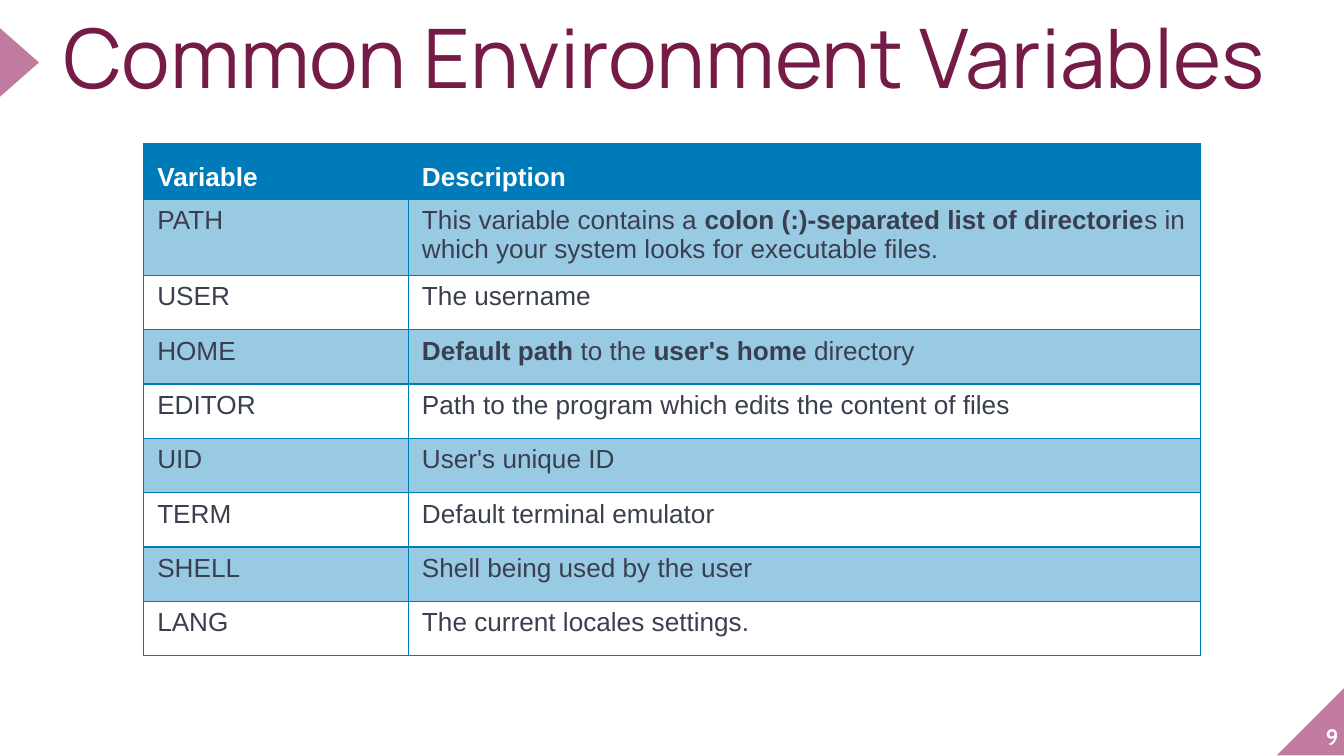
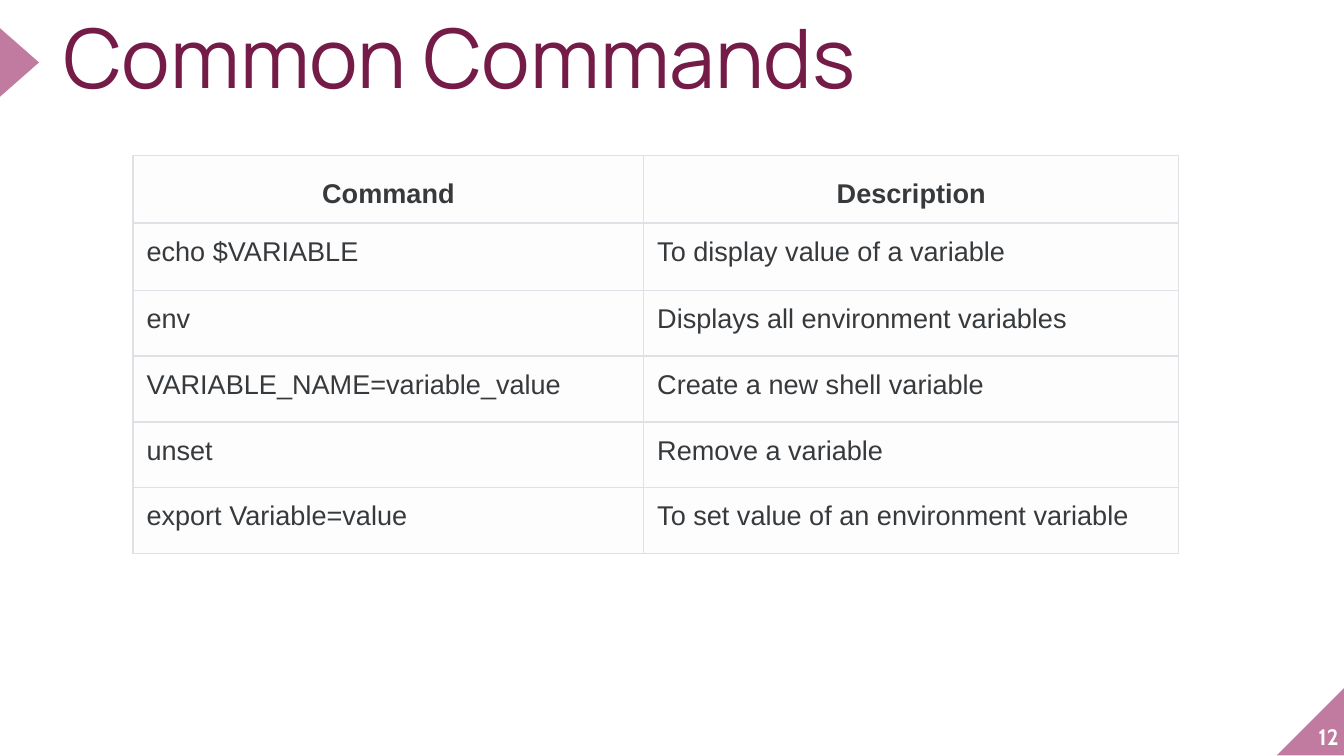
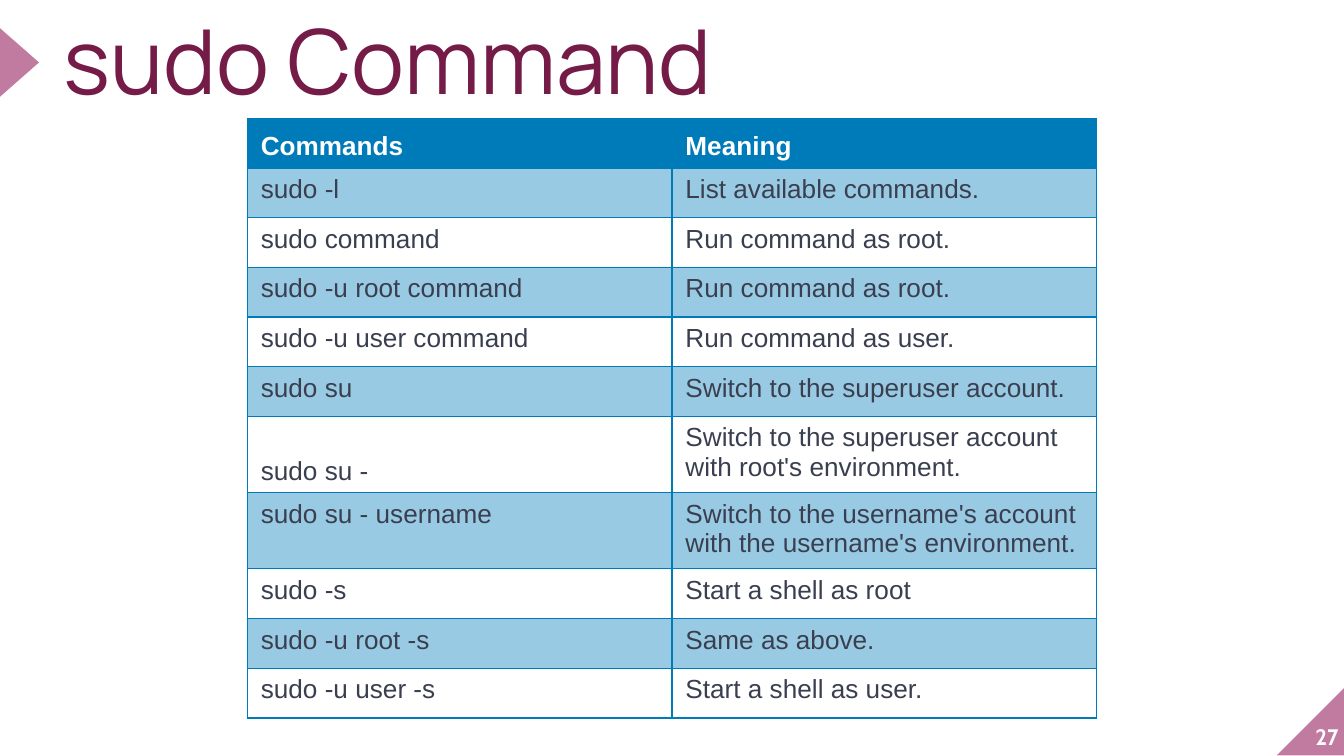
from dataclasses import dataclass
from typing import Any, Optional

from lxml import etree
from pptx import Presentation
from pptx import util as u
from pptx.dml.color import RGBColor
from pptx.enum import shapes, text
from pptx.oxml.ns import qn

WHITE = RGBColor(0xFF, 0xFF, 0xFF)
PINK = RGBColor(0xC2, 0x7B, 0xA0)
PLUM = RGBColor(0x74, 0x1B, 0x47)
BLUE = RGBColor(0x00, 0x7B, 0xB9)
SLATE = RGBColor(0x3A, 0x3F, 0x50)
CHARCOAL = RGBColor(0x37, 0x3A, 0x3C)
SILVER = RGBColor(0xDE, 0xE2, 0xE6)
PAPER = RGBColor(0xFD, 0xFD, 0xFE)

TITLE_ONLY = 5
NO_MARGINS = {f"margin_{side}": 0 for side in ("left", "right", "top", "bottom")}


@dataclass(frozen=True)
class Box:
    left: float
    top: float
    width: float
    height: float

    def lengths(self) -> tuple[u.Length, ...]:
        return tuple(map(u.Inches, (self.left, self.top, self.width, self.height)))


@dataclass(frozen=True)
class Decoration:
    preset: shapes.MSO_SHAPE
    box: Box
    rotation: int


@dataclass(frozen=True)
class Border:
    color: RGBColor
    points: float = 0.75


@dataclass(frozen=True)
class TableStyle:
    size: float
    header_color: RGBColor
    body_color: RGBColor
    header_fill: RGBColor
    odd_fill: RGBColor
    even_fill: Optional[RGBColor]
    odd_opacity: int
    border: Border
    under_header: Border
    above_body: Border
    vertical_margin: float
    header_paragraph: dict[str, Any]
    highlight: Optional[RGBColor] = None


@dataclass(frozen=True)
class TableSlide:
    title: str
    title_size: int
    title_width: float
    number: int
    left: float
    top: float
    columns: tuple[float, ...]
    heights: tuple[float, ...]
    style: TableStyle
    rows: tuple[tuple[str, str], ...]
    bottom_cells: tuple[tuple[int, int], ...] = ()


DECORATIONS = (
    Decoration(shapes.MSO_SHAPE.RIGHT_TRIANGLE, Box(9.5, 5.11, 0.51, 0.51), 270),
    Decoration(shapes.MSO_SHAPE.ISOSCELES_TRIANGLE, Box(-0.11, 0.32, 0.51, 0.29), 90),
)

BANDED = TableStyle(
    size=14, header_color=WHITE, body_color=SLATE,
    header_fill=BLUE, odd_fill=BLUE, even_fill=None, odd_opacity=40,
    border=Border(BLUE), under_header=Border(WHITE), above_body=Border(BLUE),
    vertical_margin=0.05, header_paragraph={"alignment": text.PP_ALIGN.LEFT},
)
PLAIN = TableStyle(
    size=14.5, header_color=CHARCOAL, body_color=CHARCOAL,
    header_fill=PAPER, odd_fill=PAPER, even_fill=PAPER, odd_opacity=100,
    border=Border(SILVER), under_header=Border(SILVER, 1.5), above_body=Border(SILVER, 1.5),
    vertical_margin=0.1,
    header_paragraph={"alignment": text.PP_ALIGN.CENTER, "line_spacing": 1.15},
    highlight=PAPER,
)

SLIDES = (
    TableSlide(
        "Common Environment Variables", 44, 9.67, 9, 1.07, 1.07,
        (1.97, 5.89), (0.41, 0.53) + (0.405,) * 7, BANDED,
        (
            ("Variable", "Description"),
            ("PATH", "This variable contains a **colon (:)-separated list of directorie**s"
                     " in which your system looks for executable files."),
            ("USER", "The username"),
            ("HOME", "**Default path** to the **user's home** directory"),
            ("EDITOR", "Path to the program which edits the content of files"),
            ("UID", "User's unique ID"),
            ("TERM", "Default terminal emulator"),
            ("SHELL", "Shell being used by the user"),
            ("LANG", "The current locales settings."),
        ),
    ),
    TableSlide(
        "Common Commands", 44, 9.67, 12, 0.99, 1.16,
        (3.8, 3.98), (0.5,) * 2 + (0.49,) * 4, PLAIN,
        (
            ("Command", "Description"),
            ("echo $VARIABLE", "To display value of a variable"),
            ("env", "Displays all environment variables"),
            ("VARIABLE_NAME=variable_value", "Create a new shell variable"),
            ("unset", "Remove a variable"),
            ("export Variable=value", "To set value of an environment variable"),
        ),
    ),
    TableSlide(
        "sudo Command", 48, 6.17, 27, 1.84, 0.88,
        (3.16, 3.16), (0.37,) * 6 + (0.53,) * 2 + (0.37,) * 3, BANDED,
        (
            ("Commands", "Meaning"),
            ("sudo -l", "List available commands."),
            ("sudo command", "Run command as root."),
            ("sudo -u root command", "Run command as root."),
            ("sudo -u user command", "Run command as user."),
            ("sudo su", "Switch to the superuser account."),
            ("sudo su -", "Switch to the superuser account with root's environment."),
            ("sudo su - username",
             "Switch to the username's account with the username's environment."),
            ("sudo -s", "Start a shell as root"),
            ("sudo -u root -s", "Same as above."),
            ("sudo -u user -s", "Start a shell as user."),
        ),
        bottom_cells=((6, 0),),
    ),
)


def apply(target: Any, values: dict[str, Any]) -> None:
    for name, value in values.items():
        setattr(target, name, value)


def add_run(paragraph: Any, words: str, color: RGBColor, **font: Any) -> Any:
    run = paragraph.add_run()
    run.text = words
    run.font.color.rgb = color
    apply(run.font, font)
    return run


def add_solid(parent: Any, color: RGBColor) -> None:
    fill = etree.SubElement(parent, qn("a:solidFill"))
    etree.SubElement(fill, qn("a:srgbClr"), val=str(color))


def highlight_run(run: Any, color: RGBColor) -> None:
    highlight = etree.Element(qn("a:highlight"))
    etree.SubElement(highlight, qn("a:srgbClr"), val=str(color))
    run.font.fill
    run._r.rPr.find(qn("a:solidFill")).addnext(highlight)


def draw_decoration(slide: Any, decoration: Decoration) -> None:
    shape = slide.shapes.add_shape(decoration.preset, *decoration.box.lengths())
    shape.rotation = decoration.rotation
    shape.shadow.inherit = False
    shape.fill.solid()
    shape.fill.fore_color.rgb = PINK
    shape.line.fill.background()


def draw_number(slide: Any, number: int) -> None:
    frame = slide.shapes.add_textbox(*Box(9.46, 5.07, 0.5, 0.51).lengths()).text_frame
    apply(frame, NO_MARGINS | {"word_wrap": True, "vertical_anchor": text.MSO_ANCHOR.BOTTOM})
    paragraph = frame.paragraphs[0]
    paragraph.alignment = text.PP_ALIGN.RIGHT
    add_run(paragraph, str(number), WHITE, name="Cabin", size=u.Pt(12), bold=True)


def draw_title(slide: Any, content: TableSlide) -> None:
    title = slide.shapes.title
    box = Box(0.47, 0.19, content.title_width, 0.69)
    apply(title, dict(zip(("left", "top", "width", "height"), box.lengths())))
    apply(title.text_frame, NO_MARGINS | {
        "word_wrap": True,
        "auto_size": text.MSO_AUTO_SIZE.NONE,
        "vertical_anchor": text.MSO_ANCHOR.TOP,
    })
    paragraph = title.text_frame.paragraphs[0]
    apply(paragraph, {"alignment": text.PP_ALIGN.LEFT, "line_spacing": 0.8})
    add_run(paragraph, content.title, PLUM, name="Manrope", size=u.Pt(content.title_size))


def set_borders(cell: Any, style: TableStyle, row: int) -> None:
    top = style.above_body if row == 1 else style.border
    bottom = style.under_header if row == 0 else style.border
    borders = {"a:lnL": style.border, "a:lnR": style.border, "a:lnT": top, "a:lnB": bottom}
    properties = cell._tc.get_or_add_tcPr()
    for tag, border in borders.items():
        line = etree.SubElement(properties, qn(tag), w=str(u.Pt(border.points)))
        add_solid(line, border.color)


def fill_cell(cell: Any, style: TableStyle, row: int) -> None:
    color = style.header_fill if row == 0 else (style.even_fill, style.odd_fill)[row % 2]
    if color is None:
        cell.fill.background()
        return
    cell.fill.solid()
    cell.fill.fore_color.rgb = color
    if row % 2 and style.odd_opacity < 100:
        value = cell._tc.tcPr.find(f"{qn('a:solidFill')}/{qn('a:srgbClr')}")
        etree.SubElement(value, qn("a:alpha"), val=str(style.odd_opacity * 1000))


def draw_cell(cell: Any, words: str, style: TableStyle, row: int, at_bottom: bool) -> None:
    header = row == 0
    margin = u.Inches(style.vertical_margin)
    apply(cell, {
        "margin_left": u.Inches(0.1),
        "margin_right": u.Inches(0.1),
        "margin_top": margin,
        "margin_bottom": margin,
        "vertical_anchor": text.MSO_ANCHOR.BOTTOM if at_bottom else text.MSO_ANCHOR.TOP,
    })
    set_borders(cell, style, row)
    fill_cell(cell, style, row)
    paragraph = cell.text_frame.paragraphs[0]
    if header:
        apply(paragraph, style.header_paragraph)
    color = style.header_color if header else style.body_color
    for index, part in enumerate(words.split("**")):
        if part:
            run = add_run(paragraph, part, color, name="Arial", size=u.Pt(style.size),
                          bold=header or index % 2 == 1)
            if style.highlight is not None:
                highlight_run(run, style.highlight)


def draw_table(slide: Any, content: TableSlide) -> None:
    box = Box(content.left, content.top, sum(content.columns), sum(content.heights))
    table = slide.shapes.add_table(
        len(content.rows), len(content.columns), *box.lengths()).table
    table.horz_banding = False
    for column, width in zip(table.columns, content.columns):
        column.width = u.Inches(width)
    for row, (height, entries) in enumerate(zip(content.heights, content.rows)):
        table.rows[row].height = u.Inches(height)
        for column, words in enumerate(entries):
            at_bottom = row == 0 or (row, column) in content.bottom_cells
            draw_cell(table.cell(row, column), words, content.style, row, at_bottom)


def main() -> None:
    presentation = Presentation()
    presentation.slide_width = u.Inches(10)
    presentation.slide_height = u.Inches(5.625)
    for content in SLIDES:
        slide = presentation.slides.add_slide(presentation.slide_layouts[TITLE_ONLY])
        for decoration in DECORATIONS:
            draw_decoration(slide, decoration)
        draw_number(slide, content.number)
        draw_title(slide, content)
        draw_table(slide, content)
    presentation.save("out.pptx")


if __name__ == "__main__":
    main()
